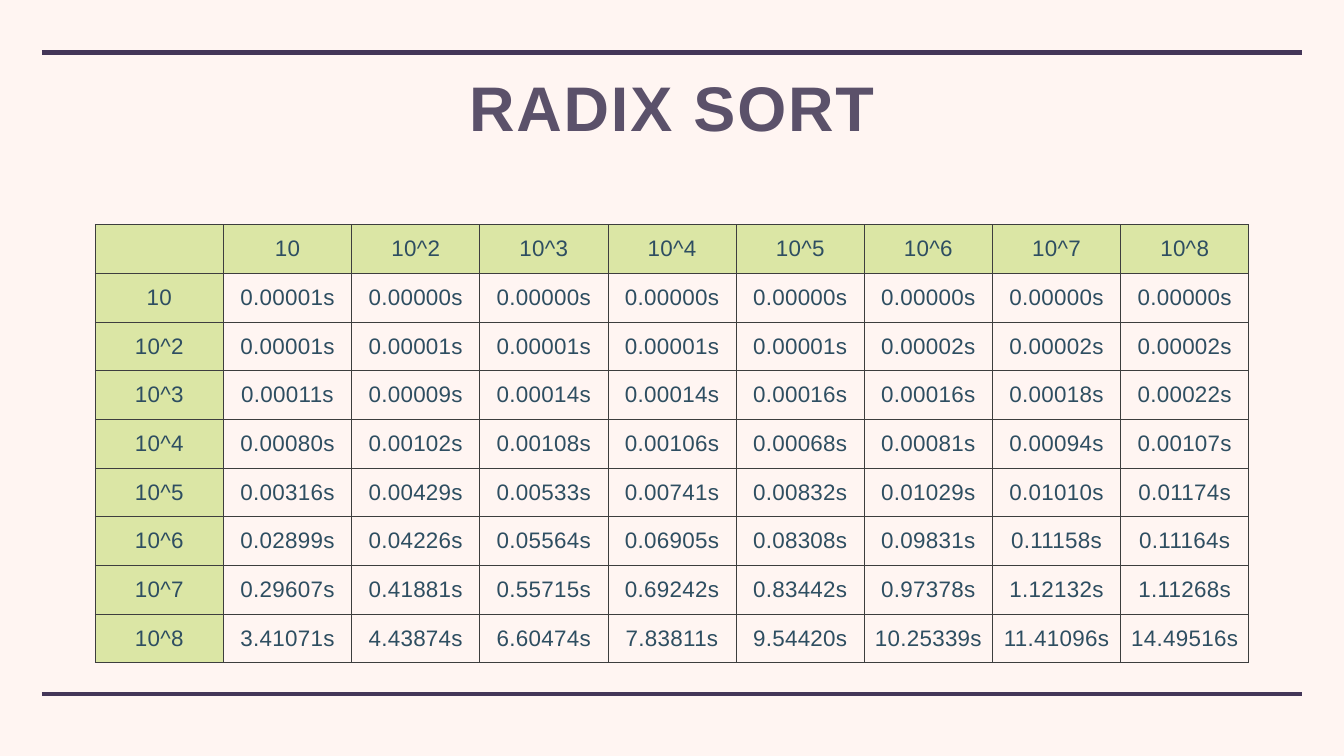
from pptx import Presentation
from pptx.dml.color import RGBColor
from pptx.enum.shapes import MSO_CONNECTOR
from pptx.enum.text import MSO_ANCHOR, PP_ALIGN
from pptx.oxml.ns import qn
from pptx.util import Pt
from lxml.etree import SubElement

TITLE = "RADIX SORT"
SIZES = ["10", "10^2", "10^3", "10^4", "10^5", "10^6", "10^7", "10^8"]
TIMES = [
    ["0.00001", "0.00000", "0.00000", "0.00000", "0.00000", "0.00000", "0.00000", "0.00000"],
    ["0.00001", "0.00001", "0.00001", "0.00001", "0.00001", "0.00002", "0.00002", "0.00002"],
    ["0.00011", "0.00009", "0.00014", "0.00014", "0.00016", "0.00016", "0.00018", "0.00022"],
    ["0.00080", "0.00102", "0.00108", "0.00106", "0.00068", "0.00081", "0.00094", "0.00107"],
    ["0.00316", "0.00429", "0.00533", "0.00741", "0.00832", "0.01029", "0.01010", "0.01174"],
    ["0.02899", "0.04226", "0.05564", "0.06905", "0.08308", "0.09831", "0.11158", "0.11164"],
    ["0.29607", "0.41881", "0.55715", "0.69242", "0.83442", "0.97378", "1.12132", "1.11268"],
    ["3.41071", "4.43874", "6.60474", "7.83811", "9.54420", "10.25339", "11.41096", "14.49516"],
]
COLORS = {"back": "FFF5F2", "rule": "443658", "title": "5B516A",
          "head": "DBE6A5", "text": "2E4E61", "edge": "3D3E3E"}
WIDE, HIGH = 1920.24, 1080
RULES = [75, 992]
LEFT, RIGHT = 60, 1860
GRID = (136.08, 321.12, 1648.08, 625.68)
INSET = 4.32


def color(name):
    return RGBColor.from_string(COLORS[name])


def write(frame, text, size, tint, bold=False, track=0, lead=None):
    para = frame.paragraphs[0]
    para.alignment = PP_ALIGN.CENTER
    if lead:
        para.line_spacing = lead
    run = para.add_run()
    run.text = text
    font = run.font
    font.name, font.size, font.bold = "Arial", Pt(size), bold
    font.color.rgb = color(tint)
    font._element.set("spc", str(round(track * 100)))


def pad(box, top=INSET):
    box.margin_left = box.margin_right = box.margin_bottom = Pt(INSET)
    box.margin_top = Pt(top)


def border(cell):
    props = cell._tc.get_or_add_tcPr()
    for spot, side in enumerate(("lnL", "lnR", "lnT", "lnB")):
        line = SubElement(props, qn("a:" + side), w=str(Pt(1)))
        fill = SubElement(line, qn("a:solidFill"))
        SubElement(fill, qn("a:srgbClr"), val=COLORS["edge"])
        props.insert(spot, line)


def rule(slide, y):
    line = slide.shapes.add_connector(MSO_CONNECTOR.STRAIGHT, Pt(LEFT), Pt(y), Pt(RIGHT), Pt(y))
    line.line.color.rgb = color("rule")
    line.line.width = Pt(6)
    SubElement(line._element.spPr, qn("a:effectLst"))


def heading(slide):
    title = slide.shapes.title
    title.left, title.top, title.width, title.height = map(Pt, (164.16, 100.8, 1591.2, 129.6))
    frame = title.text_frame
    frame.word_wrap = True
    frame.vertical_anchor = MSO_ANCHOR.TOP
    pad(frame, top=10)
    write(frame, TITLE, 90, "title", bold=True, track=2.7, lead=0.9)


def grid(slide):
    rows = [[""] + SIZES]
    rows += [[size] + [time + "s" for time in times] for size, times in zip(SIZES, TIMES)]
    count = len(rows)
    table = slide.shapes.add_table(count, count, *map(Pt, GRID)).table
    table.horz_banding = table.first_row = False
    for col in table.columns:
        col.width = Pt(GRID[2] / count)
    for r, row in enumerate(rows):
        table.rows[r].height = Pt(GRID[3] / count)
        for c, text in enumerate(row):
            cell = table.cell(r, c)
            cell.vertical_anchor = MSO_ANCHOR.MIDDLE
            pad(cell)
            if r == 0 or c == 0:
                cell.fill.solid()
                cell.fill.fore_color.rgb = color("head")
            else:
                cell.fill.background()
            border(cell)
            if text:
                write(cell.text_frame, text, 32, "text", track=0.4)


def main():
    deck = Presentation()
    deck.slide_width, deck.slide_height = Pt(WIDE), Pt(HIGH)
    slide = deck.slides.add_slide(deck.slide_layouts[5])
    slide.background.fill.solid()
    slide.background.fill.fore_color.rgb = color("back")
    for y in RULES:
        rule(slide, y)
    heading(slide)
    grid(slide)
    deck.save("out.pptx")


if __name__ == "__main__":
    main()
